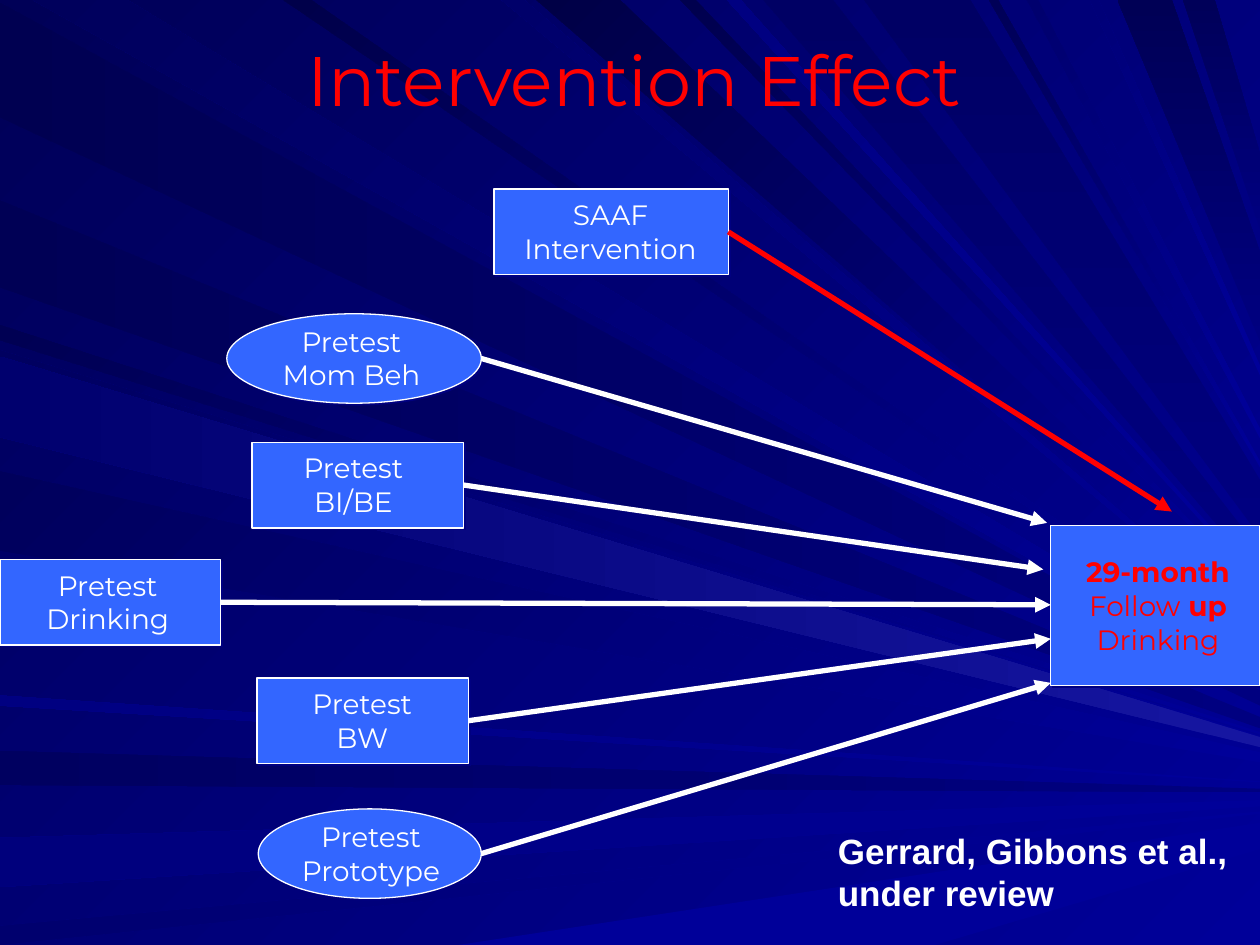
from lxml import etree
from pptx import Presentation
from pptx.dml.color import RGBColor
from pptx.enum.shapes import MSO_CONNECTOR, MSO_SHAPE
from pptx.enum.text import MSO_ANCHOR, PP_ALIGN
from pptx.oxml.ns import qn
from pptx.util import Inches, Pt

RECT, OVAL = MSO_SHAPE.RECTANGLE, MSO_SHAPE.OVAL
STRAIGHT = MSO_CONNECTOR.STRAIGHT
CENTER, LEFT = PP_ALIGN.CENTER, PP_ALIGN.LEFT
TOP, MIDDLE = MSO_ANCHOR.TOP, MSO_ANCHOR.MIDDLE

WIDTH, HEIGHT = 10, 7.5
GRID = 100
FOCUS_X, FOCUS_Y = 11.5, 6.3
WHITE, RED, BOX_BLUE = "FFFFFF", "FF0000", "3366FF"
NAVY, DEEP, GLOW = "000080", "000099", "1616A1"
HEADING_FONT, CITATION_FONT = "Montserrat", "Arial"

RAY_FANS = [
    ("left", NAVY, 180, [(0.02, 0.93, "000051"), (5.96, 6.23, "000060")]),
    ("top", DEEP, 225, [(0.26, 1.01, "00005C")]),
    ("left", DEEP, 180, [(6.65, 7.04, "00007C"), (7.35, 7.5, "00006E")]),
    ("bottom", DEEP, 180, [(3.64, 7.42, DEEP)]),
    ("left", DEEP, 225, [(2.58, 2.7, "000053")]),
    ("left", NAVY, 180, [(1.59, 2.28, "000055")]),
    ("top", DEEP, 225, [(3.98, 4.16, "00006A"), (4.26, 4.92, "000046"), (5.4, 5.52, "00004E")]),
    ("top", NAVY, 270, [(6.06, 6.61, "000064"), (8.87, 9.3, "000055"), (9.39, 9.64, "000059")]),
    ("left", DEEP, 225, [(2.78, 3.42, "000060"), (3.74, 4.37, "00005C"), (5.52, 5.6, "000081")]),
    ("top", DEEP, 225, [(2.25, 2.47, "00004A"), (5.77, 5.88, "000081")]),
    ("top", NAVY, 270, [(6.86, 7.7, "000064")]),
    ("top", DEEP, 225, [(7.85, 7.92, "000057"), (8.15, 8.24, "00006E"), (8.65, 8.72, "000078")]),
    ("left", GLOW, 180, [(2.83, 3.47, "00006E")]),
]

OUTCOME_BOX, OUTCOME_LABEL = (8.34, 4.17, 1.66, 1.27), (8.38, 1.62)
OUTCOME = [("29-month ", True), ("Follow", False), (" up ", True), ("Drinking", False)]
PREDICTORS = [
    ("Pretest BW", RECT, (2.04, 5.38, 1.68, 0.68), (2.28, 1.19), (8.34, 5.07), WHITE),
    ("Pretest BI/BE", RECT, (2, 3.51, 1.68, 0.68), (2.21, 1.19), (8.28, 4.52), WHITE),
    ("Pretest Mom Beh", OVAL, (1.8, 2.49, 2.02, 0.71), (2.06, 1.46), (8.31, 4.15), WHITE),
    ("Pretest Prototype", OVAL, (2.05, 6.42, 1.77, 0.71), (2.21, 1.47), (8.34, 5.42), WHITE),
    ("SAAF Intervention", RECT, (3.92, 1.5, 1.86, 0.68), (4, 1.69), (9.3, 4.06), RED),
    ("Pretest Drinking", RECT, (0, 4.44, 1.75, 0.68), (0.23, 1.25), (8.34, 4.8), WHITE),
]


def rgb(code):
    return RGBColor.from_string(code)


def inches(lengths):
    return [Inches(length) for length in lengths]


def paint_gradient(fill, start, end, clockwise):
    fill.gradient()
    fill.gradient_angle = 360 - clockwise
    for stop, code in zip(fill.gradient_stops, (start, end)):
        stop.color.rgb = rgb(code)


def add_shadow(properties):
    effects = etree.SubElement(properties, qn("a:effectLst"))
    shadow = etree.SubElement(effects, qn("a:outerShdw"), dist=str(Pt(1.4)), dir="2700000")
    etree.SubElement(shadow, qn("a:srgbClr"), val=NAVY)


def edge_point(edge, distance):
    return {"left": (0, distance), "top": (distance, 0), "bottom": (distance, HEIGHT)}[edge]


def right_edge_point(x, y):
    return WIDTH, y + (FOCUS_Y - y) * (WIDTH - x) / (FOCUS_X - x)


def add_ray(slide, edge, bright, clockwise, near, far, dark):
    first, second = edge_point(edge, near), edge_point(edge, far)
    corners = [first, right_edge_point(*first), right_edge_point(*second), second]
    start, *rest = [(round(x * GRID), round(y * GRID)) for x, y in corners]
    outline = slide.shapes.build_freeform(*start, scale=Inches(1 / GRID))
    outline.add_line_segments(rest, close=True)
    ray = outline.convert_to_shape()
    ray.shadow.inherit = False
    ray.line.fill.background()
    paint_gradient(ray.fill, bright, dark, clockwise)


def add_text(slide, place, pieces, font, size, color, align=CENTER,
             anchor=TOP, margins=(0.1, 0.05), shadowed=False):
    holder = slide.shapes.add_textbox(*inches(place))
    frame = holder.text_frame
    frame.word_wrap = True
    frame.vertical_anchor = anchor
    frame.margin_left = frame.margin_right = Inches(margins[0])
    frame.margin_top = frame.margin_bottom = Inches(margins[1])
    paragraph = frame.paragraphs[0]
    paragraph.alignment = align
    paragraph.font.name = font
    paragraph.font.size = Pt(size)
    paragraph.font.color.rgb = rgb(color)
    for words, bold in pieces:
        run = paragraph.add_run()
        run.text = words
        run.font.bold = bold
        if shadowed:
            add_shadow(run.font._element)


def add_variable(slide, outline, place, label_span, label_height, label, color):
    box = slide.shapes.add_shape(outline, *inches(place))
    box.fill.solid()
    box.fill.fore_color.rgb = rgb(BOX_BLUE)
    box.line.color.rgb = rgb(WHITE)
    box.line.width = Pt(0.75)
    add_shadow(box._element.spPr)
    label_left, label_width = label_span
    label_top = place[1] + (place[3] - label_height) / 2
    add_text(slide, (label_left, label_top, label_width, label_height),
             label, HEADING_FONT, 16, color, shadowed=True)


def add_path(slide, place, target, color):
    left, top, width, height = place
    origin = (left + width, top + height / 2)
    arrow = slide.shapes.add_connector(STRAIGHT, *inches(origin + target))
    arrow.line.color.rgb = rgb(color)
    arrow.line.width = Pt(3)
    etree.SubElement(arrow.line._get_or_add_ln(), qn("a:tailEnd"), type="triangle")
    etree.SubElement(arrow._element.spPr, qn("a:effectLst"))


def main():
    deck = Presentation()
    deck.slide_width, deck.slide_height = inches((WIDTH, HEIGHT))
    slide = deck.slides.add_slide(deck.slide_layouts[6])
    paint_gradient(slide.background.fill, DEEP, "000057", 225)
    for edge, bright, clockwise, rays in RAY_FANS:
        for ray in rays:
            add_ray(slide, edge, bright, clockwise, *ray)
    add_text(slide, (-0.29, 0, 10.65, 1.25), [("Intervention Effect", False)],
             HEADING_FONT, 40, RED, anchor=MIDDLE)
    add_variable(slide, RECT, OUTCOME_BOX, OUTCOME_LABEL, 0.9, OUTCOME, RED)
    for name, outline, place, label_span, _, _ in PREDICTORS:
        add_variable(slide, outline, place, label_span, 0.64, [(name, False)], WHITE)
    for _, _, place, _, target, color in PREDICTORS:
        add_path(slide, place, target, color)
    add_text(slide, (6.65, 6.58, 3.1, 0.67), [("Gerrard, Gibbons et al., under review", True)],
             CITATION_FONT, 20, WHITE, align=LEFT, margins=(0, 0))
    deck.save("out.pptx")


if __name__ == "__main__":
    main()
